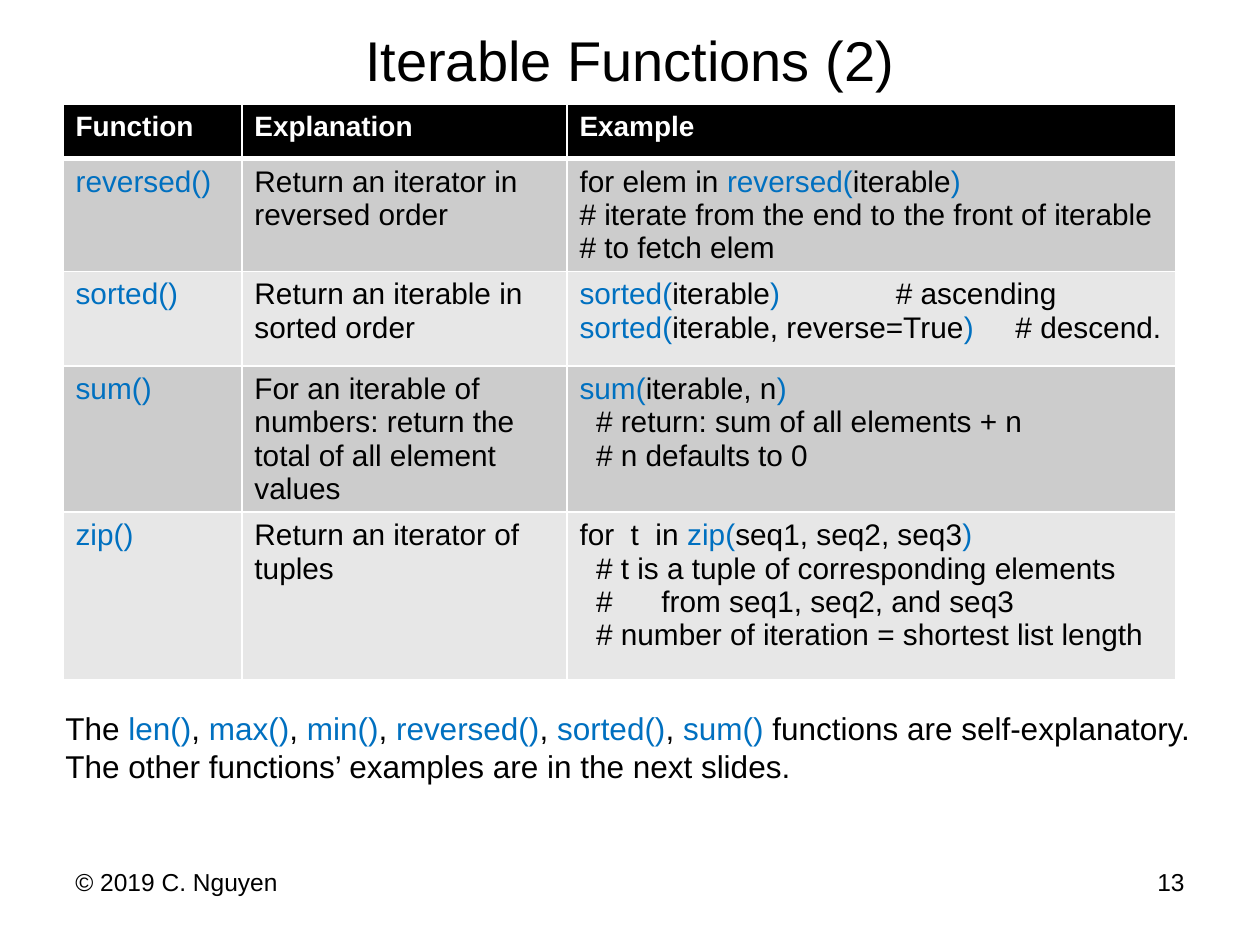
from lxml import etree
from pptx import Presentation
from pptx.dml.color import RGBColor
from pptx.enum.text import MSO_ANCHOR as ANCHOR, PP_ALIGN as ALIGN
from pptx.oxml.ns import qn
from pptx.util import Inches, Pt

BLACK, WHITE, BLUE = "000000", "FFFFFF", "0070C0"
BANDS = ("CCCCCC", "E7E7E7")

# Text between bars is a highlighted function name
HEADER = ["Function", "Explanation", "Example"]
ROWS = [
    ("|reversed()|", "Return an iterator in reversed order", [
        "for elem in |reversed(|iterable|)|",
        "# iterate from the end to the front of iterable",
        "# to fetch elem"]),
    ("|sorted()|", "Return an iterable in sorted order", [
        "|sorted(|iterable|)|\t# ascending",
        "|sorted(|iterable, reverse=True|)|\t# descend."]),
    ("|sum()|", "For an iterable of numbers: return the total of all element values", [
        "|sum(|iterable, n|)|",
        "  # return: sum of all elements + n",
        "  # n defaults to 0"]),
    ("|zip()|", "Return an iterator of tuples", [
        "for  t  in |zip(|seq1, seq2, seq3|)|",
        "  # t is a tuple of corresponding elements",
        "  #\tfrom seq1, seq2, and seq3",
        "  # number of iteration = shortest list length"]),
]
TABS = {"# ascending": 2.51, "# descend.": 3.46, "from seq1, seq2, and seq3": 0.65}
NOTE = [
    "The |len()|,| max()|,| min()|,| reversed()|,| sorted()|, |sum() |functions are self-explanatory.",
    "The other functions’ examples are in the next slides.",
]


def rgb(color):
    return RGBColor.from_string(color)


class SlideBuilder:
    font = "Arial"

    def __init__(self, prs):
        self.s = prs.slides.add_slide(prs.slide_layouts[5])

    def put_lines(self, tf, lines, size, color=BLACK, bold=False, align=ALIGN.LEFT):
        fmt = {"name": self.font, "size": Pt(size), "bold": bold}
        for i, line in enumerate(lines):
            p = tf.add_paragraph() if i else tf.paragraphs[0]
            p.alignment = align
            if "\t" in line:
                self.tab(p, TABS[line.split("\t")[1]])
            for j, part in enumerate(line.split("|")):
                if part:
                    r = p.add_run()
                    r.text = part
                    for key, value in fmt.items():
                        setattr(r.font, key, value)
                    r.font.color.rgb = rgb(BLUE if j % 2 else color)

    def tab(self, p, pos):
        tabs = etree.SubElement(p._p.get_or_add_pPr(), qn("a:tabLst"))
        etree.SubElement(tabs, qn("a:tab"), pos=str(Inches(pos)), algn="l")

    def title(self, text, box, size):
        sp = self.s.shapes.title
        sp.left, sp.top, sp.width, sp.height = map(Inches, box)
        sp.text_frame.vertical_anchor = ANCHOR.MIDDLE
        self.put_lines(sp.text_frame, [text], size, align=ALIGN.CENTER)

    def text(self, lines, box, size, align=ALIGN.LEFT, wrap=True):
        tf = self.s.shapes.add_textbox(*map(Inches, box)).text_frame
        tf.word_wrap = wrap
        self.put_lines(tf, lines, size, align=align)

    def borders(self, cell, widths):
        tcPr = cell._tc.get_or_add_tcPr()
        for side, width in widths.items():
            ln = etree.SubElement(tcPr, qn(f"a:ln{side}"), w=str(Pt(width)))
            fill = etree.SubElement(ln, qn("a:solidFill"))
            etree.SubElement(fill, qn("a:srgbClr"), val=WHITE)

    def cell(self, cell, lines, fill, widths, **style):
        self.borders(cell, widths)
        cell.fill.solid()
        cell.fill.fore_color.rgb = rgb(fill)
        self.put_lines(cell.text_frame, lines, **style)

    def table(self, header, rows, box, col_widths, row_heights):
        table = self.s.shapes.add_table(
            len(rows) + 1, len(header), *map(Inches, box)).table
        for col, width in zip(table.columns, col_widths):
            col.width = Inches(width)
        for row, height in zip(table.rows, row_heights):
            row.height = Inches(height)
        for c, text in enumerate(header):
            self.cell(table.cell(0, c), [text], BLACK, dict(L=1, R=1, T=1, B=3),
                      size=16, color=WHITE, bold=True)
        for r, row in enumerate(rows, 1):
            widths = dict(L=1, R=1, T=3 if r == 1 else 1, B=1)
            for c, content in enumerate(row):
                lines = [content] if isinstance(content, str) else content
                self.cell(table.cell(r, c), lines, BANDS[(r - 1) % 2], widths, size=17)


def main():
    prs = Presentation()
    prs.slide_width, prs.slide_height = Inches(10), Inches(7.5)
    b = SlideBuilder(prs)

    # Title and function table
    b.title("Iterable Functions (2)", (0.5, 0.08, 9, 0.78), 32)
    b.table(HEADER, ROWS, (0.5, 0.83, 8.83, 4.26),
            (1.42, 2.58, 4.83), (0.43, 0.75, 0.75, 1, 1.33))

    # Closing note
    b.text(NOTE, (0.42, 5.58, 9.29, 0.71), 18, wrap=False)

    # Footer
    b.text(["© 2019 C. Nguyen"], (0.5, 6.83, 2.33, 0.52), 14)
    b.text(["13"], (7.17, 6.83, 2.33, 0.52), 14, align=ALIGN.RIGHT)

    prs.save("out.pptx")


if __name__ == "__main__":
    main()
